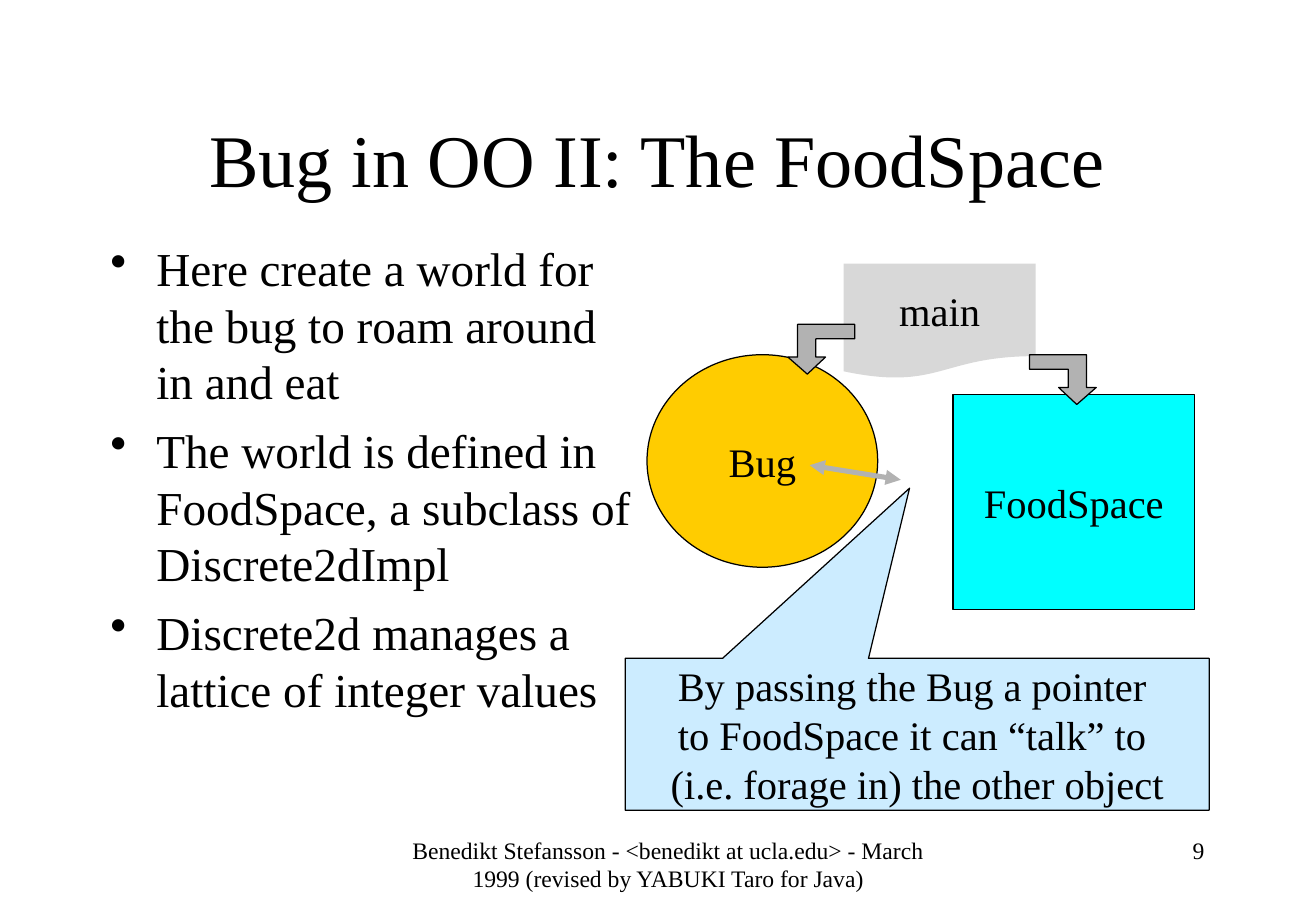
from pptx import Presentation
from pptx.dml.color import RGBColor
from pptx.enum.shapes import MSO_CONNECTOR, MSO_SHAPE
from pptx.enum.text import MSO_ANCHOR, PP_ALIGN
from pptx.oxml.ns import qn
from pptx.util import Inches, Pt
from lxml.etree import SubElement

FONT = "Times New Roman"
BLACK, GRAY = "000000", "B2B2B2"


def paint(color, code):
    color.rgb = RGBColor.from_string(code)


def write(frame, lines, size, align=PP_ALIGN.CENTER, anchor=MSO_ANCHOR.MIDDLE, wrap=True):
    frame.word_wrap = wrap
    frame.vertical_anchor = anchor
    frame.text = "\n".join(lines)
    for para in frame.paragraphs:
        para.alignment = align
        for run in para.runs:
            run.font.name = FONT
            run.font.size = Pt(size)
            paint(run.font.color, BLACK)


def add_text(slide, box, lines, size, **style):
    shape = slide.shapes.add_textbox(*map(Inches, box))
    write(shape.text_frame, lines, size, **style)
    return shape.text_frame


def dress(shape, fill, line=BLACK):
    """Set fill and outline, and drop the shadow."""
    shape.shadow.inherit = False
    shape.fill.solid()
    paint(shape.fill.fore_color, fill)
    if line:
        paint(shape.line.color, line)
        shape.line.width = Pt(0.75)
    else:
        shape.line.fill.background()


def add_node(slide, kind, box, fill, lines, line=BLACK):
    node = slide.shapes.add_shape(kind, *map(Inches, box))
    dress(node, fill, line)
    write(node.text_frame, lines, 24, wrap=False)
    return node


def add_list(slide, box, items):
    frame = add_text(slide, box, items, 28, align=PP_ALIGN.LEFT, anchor=MSO_ANCHOR.TOP)
    for index, para in enumerate(frame.paragraphs):
        props = para._p.get_or_add_pPr()
        props.set("marL", str(Inches(0.38)))
        props.set("indent", str(-Inches(0.38)))
        SubElement(props, qn("a:buChar")).set("char", "•")
        if index:
            para.space_before = Pt(7)


def add_bend(slide, left, top, side):
    """Draw an arrow that runs to one side (1 right, -1 left), then down."""
    steps = [(0, 0), (0.47, 0), (0.47, 0.27), (0.55, 0.27), (0.39, 0.41),
             (0.24, 0.27), (0.32, 0.27), (0.32, 0.12), (0, 0.12)]
    points = [(Inches(left + side * x), Inches(top + y)) for x, y in steps]
    form = slide.shapes.build_freeform(*points[0])
    form.add_line_segments(points[1:], close=True)
    dress(form.convert_to_shape(), GRAY)


def add_link(slide, start, end):
    link = slide.shapes.add_connector(
        MSO_CONNECTOR.STRAIGHT, *map(Inches, start + end))
    paint(link.line.color, GRAY)
    link.line.width = Pt(3)
    line = link.line._get_or_add_ln()
    for tag in ("a:headEnd", "a:tailEnd"):
        SubElement(line, qn(tag)).set("type", "triangle")
    SubElement(link._element.spPr, qn("a:effectLst"))


def add_scheme(slide, left, top):
    """Draw main, Bug and FoodSpace, their arrows and the callout."""
    def place(x, y, *size):
        return (left + x, top + y) + size

    note = add_node(slide, MSO_SHAPE.RECTANGULAR_CALLOUT, place(0, 3.25, 4.81, 1.25),
                    "CCECFF", ["By passing the Bug a pointer ",
                               "to FoodSpace it can “talk” to ",
                               "(i.e. forage in) the other object"])
    note.adjustments[0] = -0.013
    note.adjustments[1] = -1.621
    main = add_node(slide, MSO_SHAPE.FLOWCHART_DOCUMENT, place(1.8, 0, 1.58, 0.95),
                    GRAY, ["main"], None)
    shade = main.fill._xPr.find(qn("a:solidFill"))[0]
    SubElement(shade, qn("a:alpha")).set("val", "50000")
    add_node(slide, MSO_SHAPE.OVAL, place(0.18, 0.75, 1.9, 1.75), "FFCC00", ["Bug"])
    add_node(slide, MSO_SHAPE.RECTANGLE, place(2.7, 1.08, 1.99, 1.77),
             "00FFFF", ["FoodSpace"])
    add_link(slide, place(1.52, 1.66), place(2.27, 1.78))
    add_bend(slide, *place(1.89, 0.5), -1)
    add_bend(slide, *place(3.33, 0.75), 1)


def add_footer(slide, top):
    add_text(slide, (3.25, top, 4.51, 0.5),
             ["Benedikt Stefansson - <benedikt at ucla.edu> - March 1999 "
              "(revised by YABUKI Taro for Java)"], 14, anchor=MSO_ANCHOR.TOP)
    add_text(slide, (8.03, top, 1.99, 0.5), ["9"], 14,
             align=PP_ALIGN.RIGHT, anchor=MSO_ANCHOR.TOP)


def main():
    deck = Presentation()
    deck.slide_width, deck.slide_height = Inches(10.84), Inches(7.5)
    slide = deck.slides.add_slide(deck.slide_layouts[6])
    add_text(slide, (0.81, 0.67, 9.21, 1.25), ["Bug in OO II: The FoodSpace"], 44)
    add_list(slide, (0.81, 1.92, 4.51, 4.5), [
        "Here create a world for the bug to roam around in and eat",
        "The world is defined in FoodSpace, a subclass of Discrete2dImpl",
        "Discrete2d manages a lattice of integer values"])
    add_scheme(slide, 5.15, 2.17)
    add_footer(slide, 6.83)
    deck.save("out.pptx")


if __name__ == "__main__":
    main()
